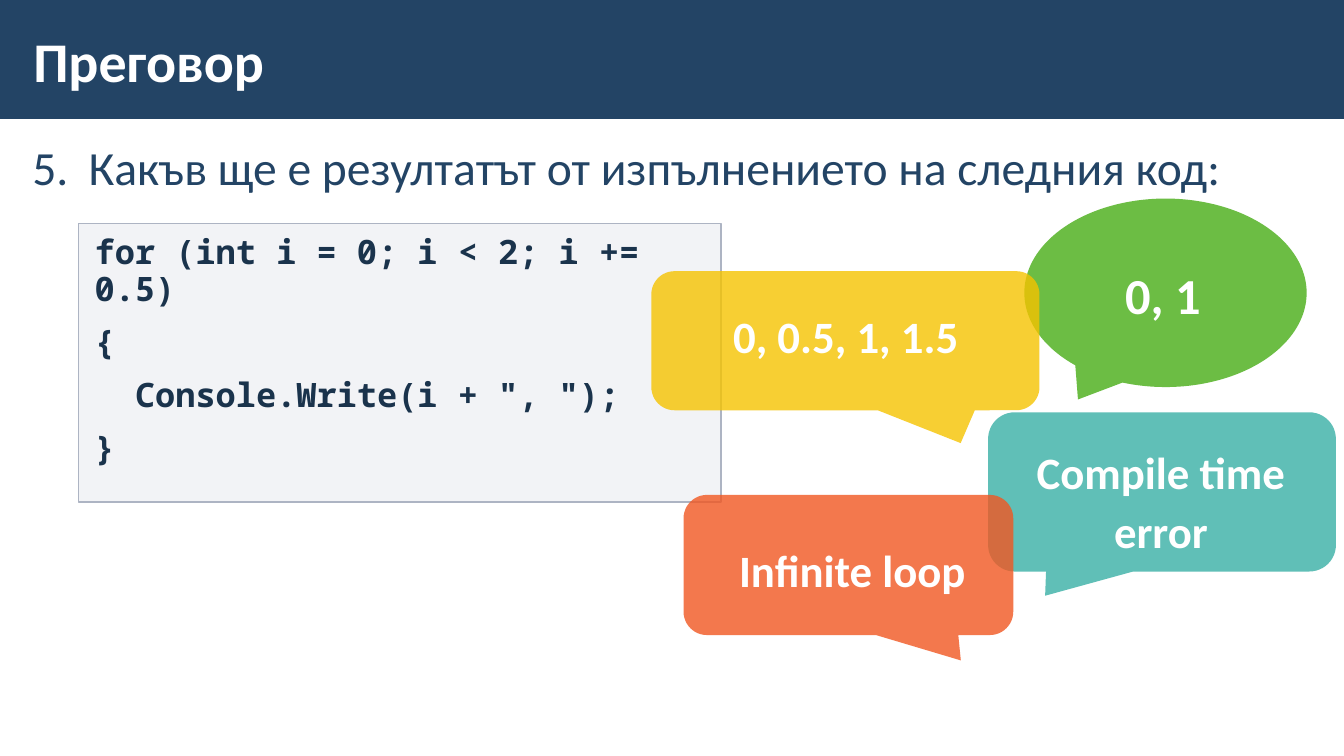
"""Build a review slide with a code question and four answer callouts."""
from lxml.etree import SubElement
from pptx import Presentation
from pptx.dml.color import RGBColor
from pptx.enum.shapes import MSO_SHAPE as SHAPE
from pptx.enum.text import MSO_ANCHOR as ANCHOR, PP_ALIGN as ALIGN
from pptx.oxml.ns import qn
from pptx.util import Inches, Pt

NAVY = RGBColor(0x23, 0x44, 0x65)
INK = RGBColor(0x1A, 0x33, 0x4C)
GREY = RGBColor(0xAD, 0xB4, 0xC3)
WHITE = RGBColor(0xFF, 0xFF, 0xFF)
TEAL = RGBColor(0x60, 0xBF, 0xB7)
GREEN = RGBColor(0x6C, 0xBD, 0x44)
YELLOW = RGBColor(0xF5, 0xC3, 0x00)
ORANGE = RGBColor(0xF1, 0x57, 0x21)
NARROW = (0.12, 0.04)
WIDE = (0.16, 0.12)


def write(p, text, size=32, font="Calibri", color=WHITE, bold=True, align=ALIGN.LEFT,
          spacing=None, gap=0, left=0, first=0, number=None):
    p.alignment = align
    p.line_spacing = spacing
    p.space_before = p.space_after = Pt(gap)
    pPr = p._p.get_or_add_pPr()
    pPr.set("marL", str(Inches(left)))
    pPr.set("indent", str(Inches(first)))
    if number:
        SubElement(pPr, qn("a:buAutoNum"), type="arabicPeriod", startAt=str(number))
    r = p.add_run()
    r.text = text
    r.font.name, r.font.size, r.font.bold = font, Pt(size), bold
    r.font.color.rgb = color


class Deck:
    def __init__(self):
        self.prs = Presentation()
        self.prs.slide_width, self.prs.slide_height = Inches(13.33), Inches(7.5)
        self.s = self.prs.slides.add_slide(self.prs.slide_layouts[6])

    def shape(self, kind, box, fill, alpha=100, line=None, adj=(), parent=None):
        sp = (parent or self.s).shapes.add_shape(kind, *map(Inches, box))
        sp.shadow.inherit = False
        sp.fill.solid()
        sp.fill.fore_color.rgb = fill
        if alpha < 100:
            color = sp._element.spPr.find(qn("a:solidFill"))[0]
            SubElement(color, qn("a:alpha"), val=str(alpha * 1000))
        if line:
            sp.line.color.rgb = line
            sp.line.width = Pt(1)
        else:
            sp.line.fill.background()
        for i, value in enumerate(adj):
            sp.adjustments[i] = value
        return sp

    def fill_text(self, sp, paragraphs, inset=WIDE, anchor=ANCHOR.TOP, **fmt):
        tf = sp.text_frame
        tf.word_wrap = True
        tf.vertical_anchor = anchor
        tf.margin_left = tf.margin_right = Inches(inset[0])
        tf.margin_top = tf.margin_bottom = Inches(inset[1])
        for i, (text, left) in enumerate(paragraphs):
            p = tf.add_paragraph() if i else tf.paragraphs[0]
            write(p, text, left=left, **fmt)

    def text(self, box, text, left=0, parent=None, **fmt):
        sp = (parent or self.s).shapes.add_textbox(*map(Inches, box))
        self.fill_text(sp, [(text, left)], **fmt)

    def callout(self, kind, box, adj, fill, text_box, text, alpha=100, **fmt):
        group = self.s.shapes.add_group_shape()
        self.shape(kind, box, fill, alpha, adj=adj, parent=group)
        self.text(text_box, text, parent=group, **fmt)


def main():
    deck = Deck()
    deck.shape(SHAPE.RECTANGLE, (0, 0, 13.33, 1.18), NAVY)
    deck.text((0.2, 1.3, 12.91, 5.67), "Какъв ще е резултатът от изпълнението на следния код:",
              left=0.56, first=-0.56, number=5, inset=NARROW, size=34, color=NAVY,
              bold=False, spacing=1.05, gap=6)
    code = deck.shape(SHAPE.RECTANGLE, (0.78, 2.22, 6.37, 2.76), GREY, 15, line=GREY)
    deck.fill_text(code, [("for (int i = 0; i < 2; i += 0.5)", 0), ("{", 0),
                          ('Console.Write(i + ", ");', 0.4), ("}", 0)],
                   size=24, font="Noto Sans Mono", color=INK, spacing=0.9, gap=6)
    deck.text((0.21, 0.11, 10.39, 0.97), "Преговор", inset=NARROW, anchor=ANCHOR.MIDDLE, size=40)

    rounded = SHAPE.ROUNDED_RECTANGULAR_CALLOUT
    deck.callout(rounded, (9.8, 4.09, 3.45, 1.58), (-0.336, 0.652, 0.167), TEAL,
                 (9.96, 4.24, 3.11, 1.36), "Compile time error", align=ALIGN.CENTER, spacing=1.1)
    deck.callout(SHAPE.OVAL_CALLOUT, (10.16, 1.97, 2.8, 1.87), (-0.31, 0.566), GREEN,
                 (10.5, 2.5, 3.45, 0.84), "0, 1", left=0.5, size=36)
    deck.callout(rounded, (6.46, 2.69, 3.85, 1.38), (0.297, 0.736, 0.167), YELLOW,
                 (6.26, 2.89, 4.26, 0.71), "0, 0.5, 1, 1.5", alpha=80,
                 align=ALIGN.CENTER, spacing=1.1)
    deck.callout(rounded, (6.78, 4.91, 3.27, 1.39), (0.341, 0.681, 0.167), ORANGE,
                 (7.17, 5.21, 3.32, 0.79), "Infinite loop", alpha=80, spacing=1.1)
    deck.prs.save("out.pptx")


if __name__ == "__main__":
    main()
